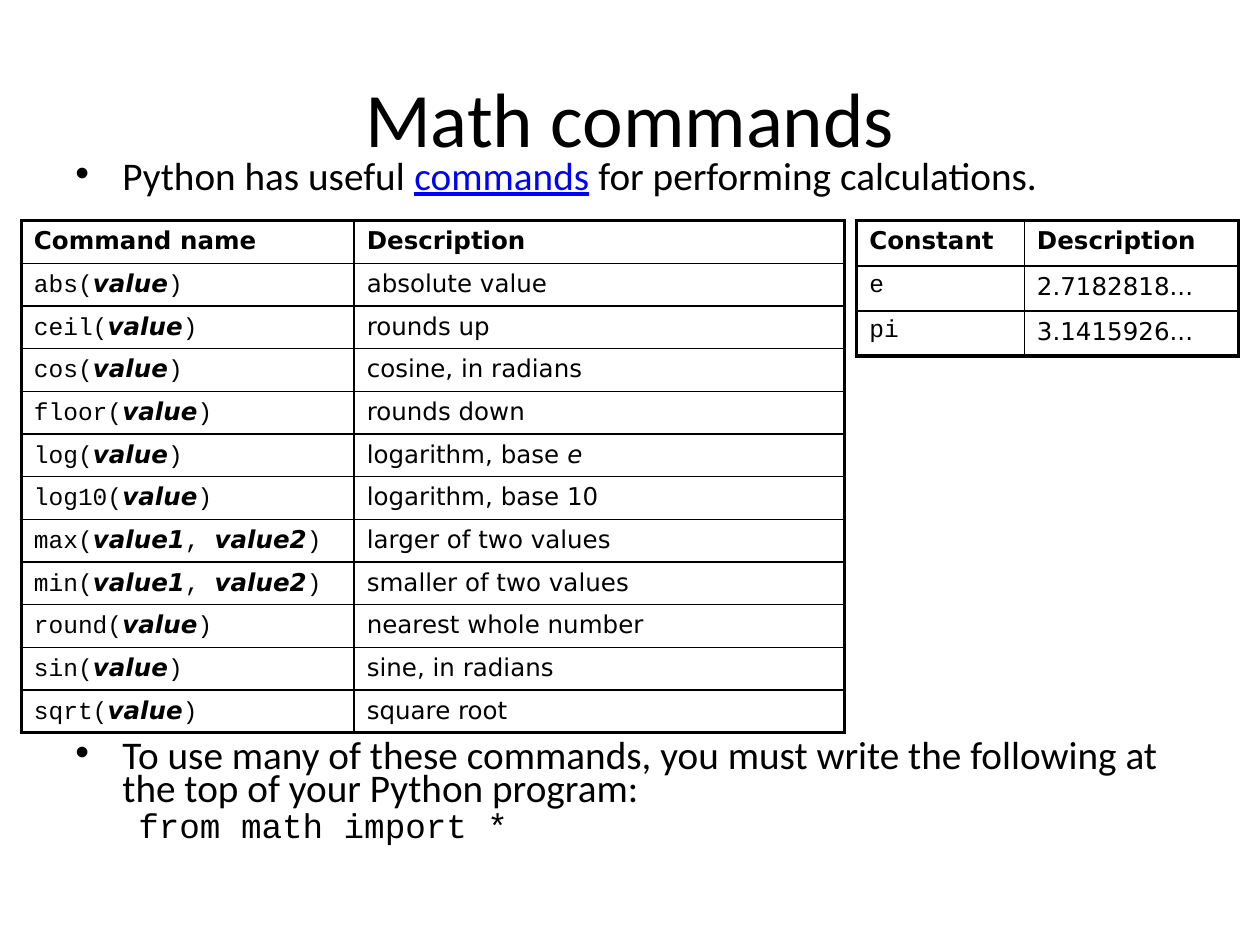
import pptx
import pptx.dml.color
import pptx.enum.text
import pptx.oxml
import pptx.oxml.ns
import pptx.util
from pptx.util import Cm

BLACK = "000000"
THICK, THIN = 2.25, 1
SANS = {"name": "DejaVu Sans", "size": 14}
CODE = {"name": "Courier New", "size": 14}
HEADING = {**SANS, "bold": True}
EMPHASIS = {**SANS, "italic": True}
ARGUMENT = {**EMPHASIS, "bold": True}
TITLE = {"name": "Calibri", "size": 44}
BULLET = {"name": "Calibri", "size": 22.4}
LINK = {**BULLET, "underline": True, "color": "0000FF"}
STATEMENT = {"name": "Courier New", "size": 19.6}

COMMANDS = [
    ("abs", ["value"], [("absolute value", SANS)]),
    ("ceil", ["value"], [("rounds up", SANS)]),
    ("cos", ["value"], [("cosine, in radians", SANS)]),
    ("floor", ["value"], [("rounds down", SANS)]),
    ("log", ["value"], [("logarithm, base ", SANS), ("e", EMPHASIS)]),
    ("log10", ["value"], [("logarithm, base 10", SANS)]),
    ("max", ["value1", "value2"], [("larger of two values", SANS)]),
    ("min", ["value1", "value2"], [("smaller of two values", SANS)]),
    ("round", ["value"], [("nearest whole number", SANS)]),
    ("sin", ["value"], [("sine, in radians", SANS)]),
    ("sqrt", ["value"], [("square root", SANS)]),
]
CONSTANTS = [("e", "2.7182818..."), ("pi", "3.1415926...")]


def rgb(value):
    return pptx.dml.color.RGBColor.from_string(value)


def drawing_xml(tag, attributes="", inner=""):
    namespace = pptx.oxml.ns.nsdecls("a")
    return pptx.oxml.parse_xml(f"<a:{tag} {namespace} {attributes}>{inner}</a:{tag}>")


def write_runs(paragraph, runs):
    for text, style in runs:
        run = paragraph.add_run()
        run.text = text
        for key, value in {"color": BLACK, **style}.items():
            if key == "color":
                run.font.color.rgb = rgb(value)
            else:
                setattr(run.font, key, pptx.util.Pt(value) if key == "size" else value)


def text_frame(slide, left, top, width, height):
    frame = slide.shapes.add_textbox(Cm(left), Cm(top), Cm(width), Cm(height)).text_frame
    frame.word_wrap = True
    return frame


def add_title(slide, left, top, width, height):
    frame = text_frame(slide, left, top, width, height)
    frame.vertical_anchor = pptx.enum.text.MSO_ANCHOR.MIDDLE
    heading = frame.paragraphs[0]
    heading.alignment = pptx.enum.text.PP_ALIGN.CENTER
    write_runs(heading, [("Math commands", TITLE)])


def add_body(slide, left, top, width, height):
    frame = text_frame(slide, left, top, width, height)
    intro = [("Python has useful ", BULLET), ("commands", LINK),
             (" for performing calculations.", BULLET)]
    advice = [("To use many of these commands, you must write the following "
               "at the top of your Python program:", BULLET)]
    statement = [("from math import *", STATEMENT)]
    points = [(intro, 4.5, 0.95, -0.95, True), (advice, 312, 0.95, -0.95, True),
              (statement, 3.9, 2.06, -0.79, False)]
    for index, (runs, before, margin, indent, bulleted) in enumerate(points):
        point = frame.add_paragraph() if index else frame.paragraphs[0]
        write_runs(point, runs)
        point.line_spacing = 0.7
        point.space_before = pptx.util.Pt(before)
        properties = point._p.get_or_add_pPr()
        properties.set("marL", str(Cm(margin)))
        properties.set("indent", str(Cm(indent)))
        if bulleted:
            properties.append(drawing_xml("buFont", 'typeface="Arial"'))
            properties.append(drawing_xml("buChar", 'char="\u2022"'))
        else:
            properties.append(drawing_xml("buNone"))


def style_cell(cell, edges):
    cell.fill.background()
    line = f'<a:solidFill><a:srgbClr val="{BLACK}"/></a:solidFill>'
    for position, (side, outer) in enumerate(edges.items()):
        weight = pptx.util.Pt(THICK if outer else THIN)
        border = drawing_xml(f"ln{side}", f'w="{weight}"', line)
        cell._tc.get_or_add_tcPr().insert(position, border)


def add_reference(slide, left, top, widths, row_height, rows):
    last_row, last_column = len(rows) - 1, len(widths) - 1
    table = slide.shapes.add_table(len(rows), len(widths), Cm(left), Cm(top),
                                   Cm(sum(widths)), Cm(row_height * len(rows))).table
    table.first_row = table.horz_banding = False
    for column, width in zip(table.columns, widths):
        column.width = Cm(width)
    for r, row in enumerate(rows):
        table.rows[r].height = Cm(row_height)
        for c, runs in enumerate(row):
            cell = table.cell(r, c)
            write_runs(cell.text_frame.paragraphs[0], runs)
            style_cell(cell, {"L": c == 0, "R": c == last_column,
                              "T": r == 0, "B": r == last_row})


def call_runs(command, arguments):
    runs = [(command + "(", CODE)]
    for index, argument in enumerate(arguments):
        if index:
            runs.append((", ", CODE))
        runs.append((argument, ARGUMENT))
    return runs + [(")", CODE)]


def header(*labels):
    return [[(label, HEADING)] for label in labels]


def main():
    deck = pptx.Presentation()
    deck.slide_width, deck.slide_height = Cm(25.4), Cm(19.05)
    slide = deck.slides.add_slide(deck.slide_layouts[6])
    add_title(slide, 1.27, 0.76, 22.86, 3.18)
    add_body(slide, 1.27, 3.18, 22.86, 14.81)
    commands = [[call_runs(name, arguments), meaning]
                for name, arguments, meaning in COMMANDS]
    add_reference(slide, 0.43, 4.45, [6.71, 9.88], 0.86,
                  [header("Command name", "Description")] + commands)
    constants = [[[(name, CODE)], [(value, SANS)]] for name, value in CONSTANTS]
    add_reference(slide, 17.27, 4.45, [3.38, 4.32], 0.91,
                  [header("Constant ", "Description")] + constants)
    deck.save("out.pptx")


main()
